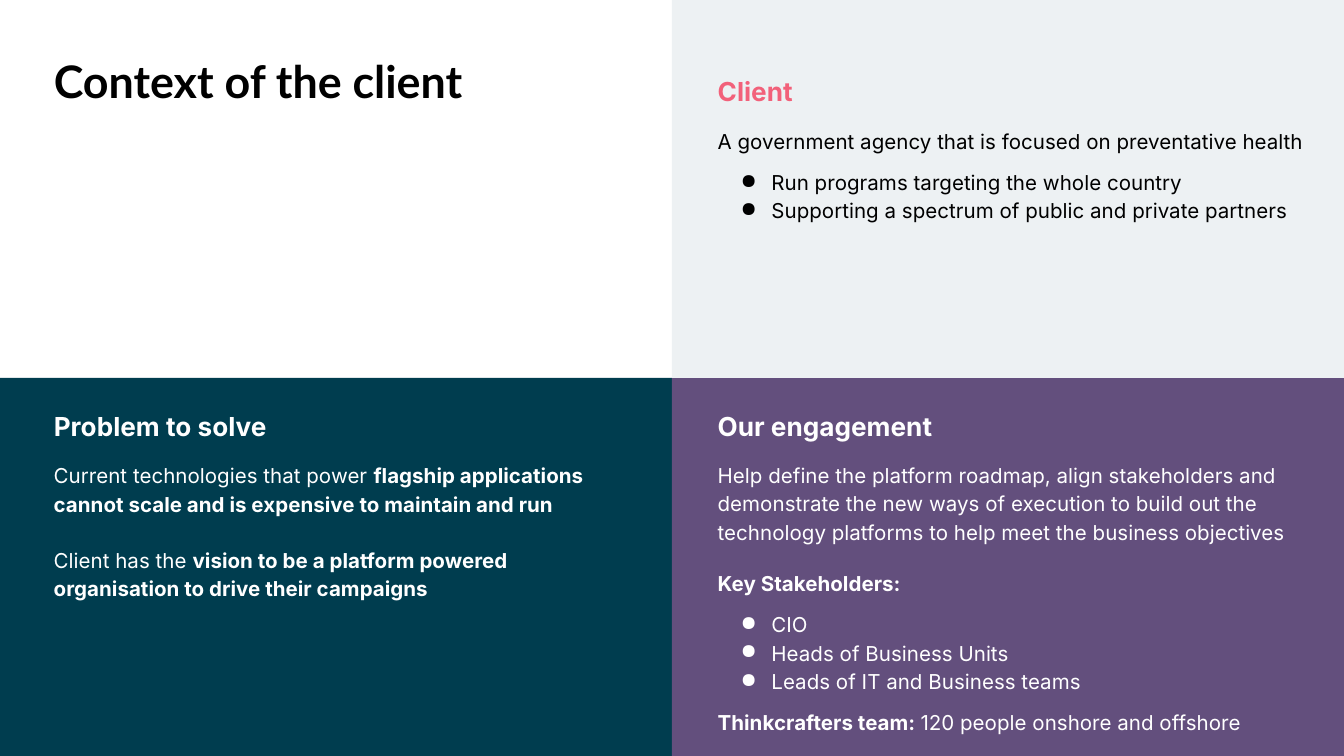
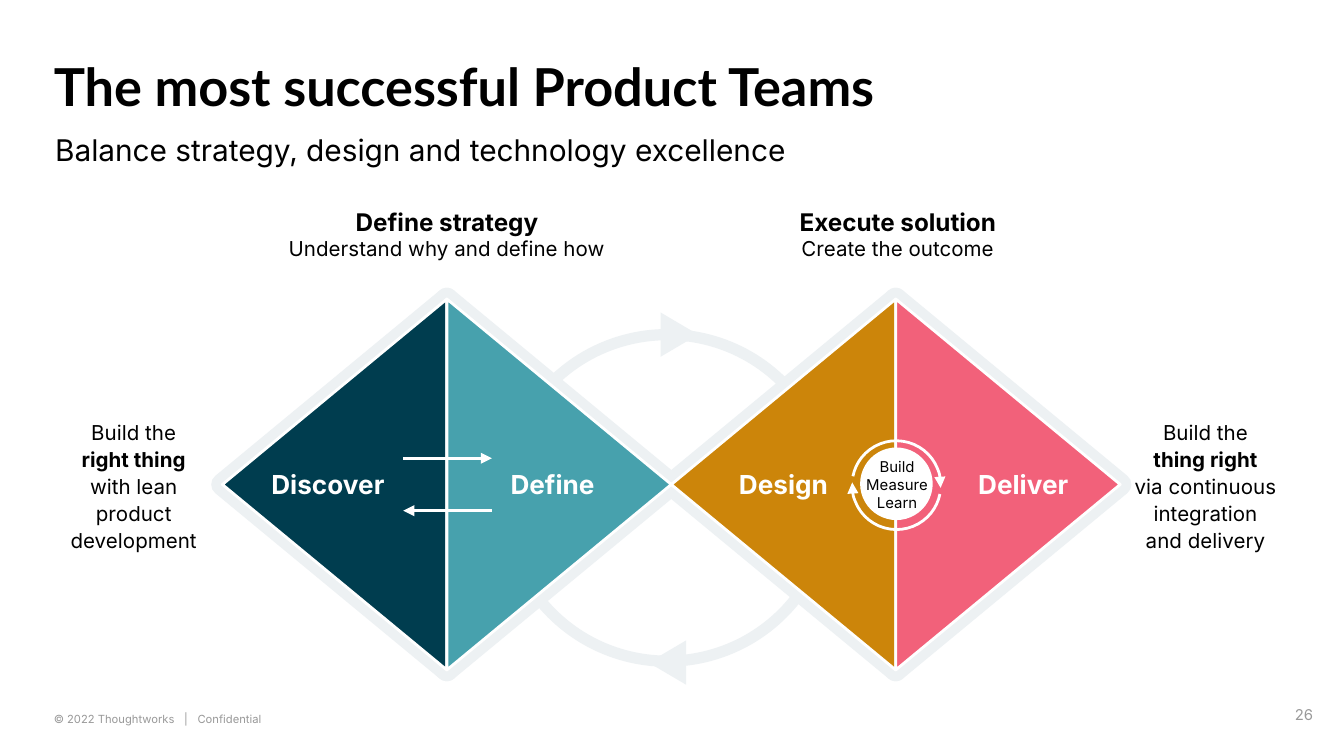
from dataclasses import dataclass

from lxml.etree import SubElement
from pptx import Presentation
from pptx.dml.color import RGBColor
from pptx.enum.shapes import MSO_CONNECTOR as Connector, MSO_SHAPE as Shape
from pptx.enum.text import MSO_ANCHOR as Anchor, MSO_AUTO_SIZE as AutoSize, PP_ALIGN as Align
from pptx.oxml.ns import qn
from pptx.util import Inches, Pt


@dataclass(frozen=True)
class Theme:
    ink: str = "000000"
    white: str = "FFFFFF"
    mist: str = "EDF1F3"
    navy: str = "003D4F"
    purple: str = "634F7D"
    pink: str = "F2617A"
    teal: str = "47A1AD"
    amber: str = "CC850A"
    grey: str = "999999"
    title_font: str = "Lato"
    body_font: str = "Inter"
    headline: int = 28
    title: int = 24
    subtitle: int = 16
    heading: int = 14
    caption: int = 13
    body: int = 11
    small: int = 8
    footer: int = 6


theme = Theme()
deck = Presentation()
deck.slide_width = Inches(10)
deck.slide_height = Inches(5.625)
cell = deck.slide_width / 100
columns, rows = 100, deck.slide_height / cell
margin_left, column_two = 4, 53.4


def write(box, area, lines, size=theme.body, color=theme.ink, font=theme.body_font,
          align=Align.LEFT, spacing=1.0, anchor=Anchor.MIDDLE, inset=(0, 0)):
    box.left, box.top, box.width, box.height = [round(cell * length) for length in area]
    frame = box.text_frame
    side, edge = [round(cell * length) for length in inset]
    frame_format = {
        "word_wrap": True, "auto_size": AutoSize.NONE, "vertical_anchor": anchor,
        "margin_left": side, "margin_right": side, "margin_top": edge, "margin_bottom": edge,
    }
    for name, value in frame_format.items():
        setattr(frame, name, value)
    for number, (text, special) in enumerate(lines):
        para = frame.add_paragraph() if number else frame.paragraphs[0]
        para_format = {
            "alignment": align, "line_spacing": spacing, "space_before": Pt(special.get("before", 0)),
        }
        for name, value in para_format.items():
            setattr(para, name, value)
        if text.startswith("● "):
            text = text[2:]
            properties = para._p.get_or_add_pPr()
            properties.set("marL", str(round(cell * 4)))
            properties.set("indent", str(round(cell * -2.3)))
            SubElement(properties, qn("a:buChar")).set("char", "●")
        for position, part in enumerate(text.split("**")):
            for row, piece in enumerate(part.split("\n")):
                if row:
                    para.add_line_break()
                if not piece:
                    continue
                span = para.add_run()
                span.text = piece
                span_format = {
                    "name": font, "size": Pt(special.get("size", size)), "bold": position % 2 == 1,
                }
                for name, value in span_format.items():
                    setattr(span.font, name, value)
                span.font.color.rgb = RGBColor.from_string(color)
    return frame


def draw(shapes, kind, area, fill=None, line=None, width=0, rotation=0):
    shape = shapes.add_shape(kind, *[round(cell * length) for length in area])
    shape.shadow.inherit = False
    shape.rotation = rotation
    for paint, color in ((shape.fill, fill), (shape.line.fill, line)):
        if color:
            paint.solid()
            paint.fore_color.rgb = RGBColor.from_string(color)
        else:
            paint.background()
    if line:
        shape.line.width = Pt(width)
        SubElement(shape.element.spPr.find(qn("a:ln")), qn("a:round"))
    return shape


page = deck.slides.add_slide(deck.slide_layouts[5])
write(page.shapes.title, (margin_left, 4, 37.6, 4), [("**Context of the client**", {})],
      size=theme.title, font=theme.title_font, anchor=Anchor.TOP)

half_width, half_height = columns / 2, rows / 2
for column, row, color in ((0, 1, theme.navy), (1, 1, theme.purple), (1, 0, theme.mist)):
    draw(page.shapes, Shape.RECTANGLE,
         (column * half_width, row * half_height, half_width, half_height), color)

panel_headings = (
    (column_two, 5.6, "Client", theme.pink),
    (column_two, 30.5, "Our engagement", theme.white),
    (margin_left, 30.5, "Problem to solve", theme.white),
)
for left, top, heading, color in panel_headings:
    write(page.shapes.add_textbox(0, 0, 0, 0), (left, top, 42.5, 2.4),
          [(f"**{heading}**", {})], size=theme.heading, color=color)

panel_texts = (
    ((column_two, 9.4, 44.7, 7.1), theme.ink, [
        ("A government agency that is focused on preventative health", {}),
        ("● Run programs targeting the whole country", {"before": 7}),
        ("● Supporting a spectrum of public and private partners", {}),
    ]),
    ((column_two, 34.3, 44.7, 6.1), theme.white, [
        ("Help define the platform roadmap, align stakeholders and demonstrate the new ways of "
         "execution to build out the technology platforms to help meet the business objectives", {}),
    ]),
    ((column_two, 42.3, 44.7, 12.3), theme.white, [
        ("**Key Stakeholders:**", {}),
        ("● CIO", {"before": 7}),
        ("● Heads of Business Units", {}),
        ("● Leads of IT and Business teams", {}),
        ("**Thinkcrafters team: **120 people onshore and offshore", {"before": 7}),
    ]),
    ((margin_left, 34.3, 41.4, 10.3), theme.white, [
        ("Current technologies that power **flagship applications cannot scale and is expensive "
         "to maintain and run**", {}),
        ("Client has the **vision to be a platform powered organisation to drive their campaigns**",
         {"before": 15}),
    ]),
)
for area, color, lines in panel_texts:
    write(page.shapes.add_textbox(0, 0, 0, 0), area, lines, color=color, spacing=1.15)

page = deck.slides.add_slide(deck.slide_layouts[0])
write(page.shapes.title, (margin_left, 4, 91.9, 6.3),
      [("**The most successful Product Teams**", {})],
      size=theme.headline, font=theme.title_font, anchor=Anchor.TOP)
write(page.placeholders[1], (4.1, 9.4, 91.9, 4.7),
      [("Balance strategy, design and technology excellence", {})],
      size=theme.subtitle, spacing=1.15, anchor=Anchor.TOP)

footer = write(page.shapes.add_textbox(0, 0, 0, 0), (margin_left, 52.1, 43.1, 1.9),
               [("© 2022 Thoughtworks\t|\tConfidential", {})],
               size=theme.footer, color=theme.grey, anchor=Anchor.BOTTOM)
tab_stops = SubElement(footer.paragraphs[0]._p.get_or_add_pPr(), qn("a:tabLst"))
for stop in (9.7, 10.7):
    tab = SubElement(tab_stops, qn("a:tab"))
    tab.set("pos", str(round(cell * stop)))
    tab.set("algn", "l")
write(page.shapes.add_textbox(0, 0, 0, 0), (92.7, 51, 6, 4.3), [("26", {})],
      size=theme.small, color=theme.grey, align=Align.RIGHT, inset=(1, 1))

draw(page.shapes, Shape.OVAL, (37.5, 24.9, 24.3, 24.3), line=theme.mist, width=6)

phases = (
    (16.2, 34.1, "Define strategy", "Understand why and define how"),
    (50.1, 33.4, "Execute solution", "Create the outcome"),
)
for left, width, heading, detail in phases:
    write(page.shapes.add_textbox(0, 0, 0, 0), (left, 14.9, width, 6.6),
          [(f"**{heading}**", {"size": theme.caption}), (detail, {})],
          align=Align.CENTER, anchor=Anchor.TOP, inset=(1, 0.5))

goals = (
    (margin_left, 11.9, "Build the** right thing**", "with lean product development"),
    (83.4, 12.6, "Build the\n**thing right**", "via continuous integration and delivery"),
)
for left, width, goal, detail in goals:
    write(page.shapes.add_textbox(0, 0, 0, 0), (left, 34.1, width, 4),
          [(goal, {}), (detail, {})], align=Align.CENTER, spacing=1.1, inset=(1, 1))

stage_colors = (theme.navy, theme.teal, theme.amber, theme.pink)
halo_colors = (theme.mist,) * len(stage_colors)
for colors, outline, width in ((halo_colors, theme.mist, 12), (stage_colors, theme.white, 1.5)):
    for index, color in enumerate(colors):
        draw(page.shapes, Shape.ISOSCELES_TRIANGLE, (11.1 + 16.7 * index, 27.7, 27.6, 16.7),
             color, outline, width, rotation=90 if index % 2 else 270)

stage_labels = (
    ("Discover", 19.1, 10.5, Align.RIGHT),
    ("Define", 37, 8.9, Align.LEFT),
    ("Design", 53.7, 8.9, Align.RIGHT),
    ("Deliver", 71.8, 8.9, Align.LEFT),
)
for label, left, width, align in stage_labels:
    write(page.shapes.add_textbox(0, 0, 0, 0), (left, 34, width, 4.1), [(f"**{label}**", {})],
          size=theme.heading, color=theme.white, align=align, inset=(1, 0))

exchange = page.shapes.add_group_shape()
for height, arrow_end in ((34.1, "a:tailEnd"), (38, "a:headEnd")):
    ends = [round(cell * length) for length in (30, height, 36.6, height)]
    arrow = exchange.shapes.add_connector(Connector.STRAIGHT, *ends)
    arrow.line.color.rgb = RGBColor.from_string(theme.white)
    arrow.line.width = Pt(1.5)
    properties = arrow.element.spPr
    SubElement(properties.find(qn("a:ln")), qn(arrow_end)).set("type", "triangle")
    SubElement(properties, qn("a:effectLst"))

cycle = page.shapes.add_group_shape()
for rotation in (8.3, 188.3):
    arc = draw(cycle.shapes, Shape.ARC, (63.4, 32.8, 6.6, 6.6),
               line=theme.white, width=1.5, rotation=rotation)
    arc.adjustments[0], arc.adjustments[1] = 109.92, 213.16
    SubElement(arc.element.spPr.find(qn("a:ln")), qn("a:tailEnd")).set("type", "triangle")

draw(page.shapes, Shape.OVAL, (64, 33.3, 5.4, 5.4), theme.white)
write(page.shapes.add_textbox(0, 0, 0, 0), (64.4, 34.3, 4.7, 3.5),
      [(step, {}) for step in ("Build", "Measure", "Learn")],
      size=theme.small, align=Align.CENTER)

for left, top, rotation in ((48.9, 23.5, 90), (48, 47.9, 270)):
    draw(page.shapes, Shape.ISOSCELES_TRIANGLE, (left, top, 3.3, 2.8),
         theme.mist, rotation=rotation)

deck.save("out.pptx")
